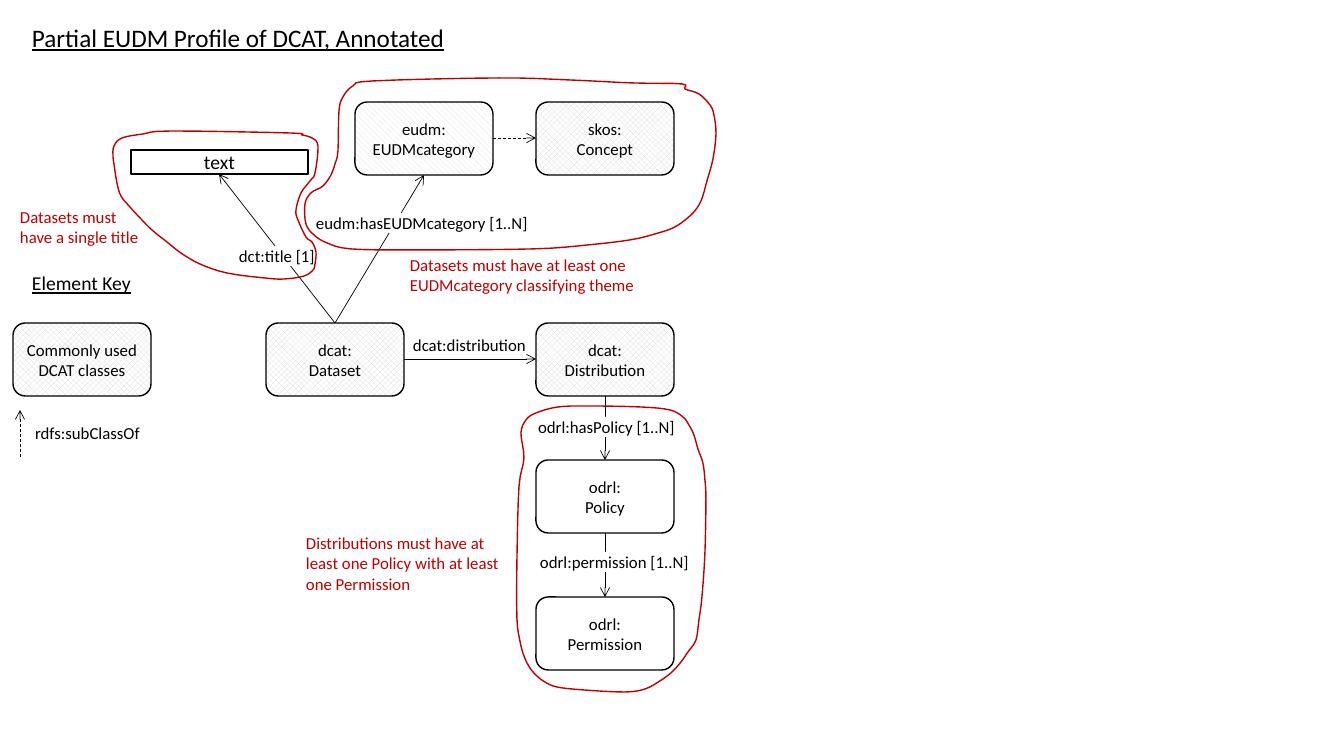
from dataclasses import dataclass

from lxml.etree import SubElement
from pptx import Presentation
from pptx.dml.color import RGBColor as Rgb
from pptx.enum.dml import MSO_LINE as Dash, MSO_PATTERN_TYPE as Pattern
from pptx.enum.shapes import MSO_CONNECTOR as Link, MSO_SHAPE as Preset
from pptx.enum.text import MSO_ANCHOR as Anchor, MSO_AUTO_SIZE as AutoSize, PP_ALIGN as Align
from pptx.oxml.ns import qn
from pptx.util import Emu, Pt

SCALE = 914400 / 100.8
COLORS = {"ink": "000000", "paper": "FFFFFF", "hatch": "D9D9D9", "note": "C00000"}
FONT = "Calibri"
NODE_W, NODE_H = 138, 73
CURVE_STEPS = 4

Point = tuple[float, float]


@dataclass
class Node:
    text: str
    x: int
    y: int
    pattern: Pattern | None = Pattern.OUTLINED_DIAMOND
    w: int = NODE_W
    h: int = NODE_H
    preset: Preset = Preset.ROUNDED_RECTANGLE
    size: int = 12

    @property
    def top(self) -> Point:
        return self.x + self.w // 2, self.y

    @property
    def bottom(self) -> Point:
        return self.x + self.w // 2, self.y + self.h

    @property
    def left(self) -> Point:
        return self.x, self.y + self.h // 2

    @property
    def right(self) -> Point:
        return self.x + self.w, self.y + self.h // 2


@dataclass
class Arrow:
    start: Point
    end: Point
    dashed: bool = False


@dataclass
class Label:
    text: str
    x: int
    y: int
    w: int
    h: int
    size: int = 12
    color: str = "ink"
    filled: bool = False
    inset: int = 0
    underline: bool = False


def px(length: float) -> Emu:
    return Emu(round(length * SCALE))


def rgb(name: str) -> Rgb:
    return Rgb.from_string(COLORS[name])


def write(frame, text: str, size: int, color: str, align: Align, underline: bool = False) -> None:
    frame.text = text
    for paragraph in frame.paragraphs:
        paragraph.alignment = align
        for run in paragraph.runs:
            run.font.name = FONT
            run.font.size = Pt(size)
            run.font.color.rgb = rgb(color)
            if underline:
                run.font.underline = True


def draw_node(shapes, node: Node) -> None:
    box = shapes.add_shape(node.preset, px(node.x), px(node.y), px(node.w), px(node.h))
    box.shadow.inherit = False
    if node.pattern is not None:
        box.fill.patterned()
        box.fill.pattern = node.pattern
        box.fill.fore_color.rgb = rgb("hatch")
        box.fill.back_color.rgb = rgb("paper")
    elif node.preset == Preset.RECTANGLE:
        box.fill.solid()
        box.fill.fore_color.rgb = rgb("paper")
    else:
        box.fill.background()
    box.line.color.rgb = rgb("ink")
    box.line.width = Pt(1)
    box.text_frame.word_wrap = True
    box.text_frame.vertical_anchor = Anchor.MIDDLE
    write(box.text_frame, node.text, node.size, "ink", Align.CENTER)


def draw_arrow(shapes, arrow: Arrow) -> None:
    ends = [px(value) for value in (*arrow.start, *arrow.end)]
    link = shapes.add_connector(Link.STRAIGHT, *ends)
    link.line.color.rgb = rgb("ink")
    link.line.width = Pt(0.5)
    if arrow.dashed:
        link.line.dash_style = Dash.DASH
    properties = link._element.spPr
    SubElement(properties.find(qn("a:ln")), qn("a:tailEnd"), type="arrow")
    SubElement(properties, qn("a:effectLst"))


def draw_label(shapes, label: Label) -> None:
    place = px(label.x), px(label.y), px(label.w), px(label.h)
    if label.filled:
        box = shapes.add_shape(Preset.RECTANGLE, *place)
        box.shadow.inherit = False
        box.fill.solid()
        box.fill.fore_color.rgb = rgb("paper")
        box.line.fill.background()
    else:
        box = shapes.add_textbox(*place)
    frame = box.text_frame
    frame.word_wrap = False
    frame.auto_size = AutoSize.SHAPE_TO_FIT_TEXT
    frame.vertical_anchor = Anchor.TOP
    frame.margin_left = frame.margin_right = px(label.inset)
    frame.margin_top = frame.margin_bottom = px(label.inset // 2)
    write(frame, label.text, label.size, label.color, Align.LEFT, label.underline)


def spline(p0: float, p1: float, p2: float, p3: float, t: float) -> float:
    bend = (p2 - p0) * t + (2 * p0 - 5 * p1 + 4 * p2 - p3) * t**2
    return p1 + (bend + (3 * p1 - p0 - 3 * p2 + p3) * t**3) / 2


def smooth(points: list[Point]) -> list[Point]:
    count = len(points)
    curve = []
    for index in range(count):
        xs, ys = zip(*(points[(index + offset) % count] for offset in (-1, 0, 1, 2)))
        for step in range(CURVE_STEPS):
            t = step / CURVE_STEPS
            curve.append((px(spline(*xs, t)), px(spline(*ys, t))))
    return curve


def draw_outline(shapes, points: list[Point]) -> None:
    first, *rest = smooth(points)
    builder = shapes.build_freeform(*first, scale=1.0)
    builder.add_line_segments(rest, close=True)
    ring = builder.convert_to_shape()
    ring.shadow.inherit = False
    ring.fill.background()
    ring.line.color.rgb = rgb("note")
    ring.line.width = Pt(1)


dataset = Node("dcat:\vDataset", 266, 323)
distribution = Node("dcat:\vDistribution", 536, 323)
policy = Node("odrl:\vPolicy", 536, 460, None)
permission = Node("odrl:\vPermission", 536, 597, None)
category = Node("eudm:\vEUDMcategory", 355, 102, Pattern.WIDE_DOWNWARD_DIAGONAL)
concept = Node("skos:\vConcept", 536, 102)
title_text = Node("text", 131, 150, None, 177, 24, Preset.RECTANGLE, 14)
key_class = Node("Commonly used DCAT classes", 13, 323)
nodes = [dataset, distribution, policy, permission, category, concept, title_text, key_class]

arrows = [
    Arrow(dataset.top, title_text.bottom), Arrow(dataset.top, category.bottom),
    Arrow(dataset.right, distribution.left), Arrow(distribution.bottom, policy.top),
    Arrow(policy.bottom, permission.top), Arrow(category.right, concept.left, True),
    Arrow((20, 457), (20, 410), True),
]

labels = [
    Label("Partial EUDM Profile of DCAT, Annotated", 22, 17, 437, 40, 18, inset=10, underline=True),
    Label("Element Key", 22, 266, 120, 34, 14, inset=10, underline=True),
    Label("rdfs:subClassOf", 25, 418, 126, 30, inset=10),
    Label("dcat:distribution", 403, 330, 134, 30, inset=10),
    Label("odrl:hasPolicy [1..N]", 538, 417, 138, 20, filled=True),
    Label("odrl:permission [1..N]", 540, 552, 150, 20, filled=True),
    Label("eudm:hasEUDMcategory [1..N]", 316, 213, 214, 20, filled=True),
    Label("dct:title [1]", 239, 246, 77, 20, filled=True),
    Label("Datasets must\vhave a single title", 20, 207, 120, 40, color="note"),
    Label("Distributions must have at\vleast one Policy with at least\vone Permission",
          306, 533, 200, 61, color="note"),
    Label("Datasets must have at least one\vEUDMcategory classifying theme",
          410, 255, 229, 40, color="note"),
]

category_ring = [
    (682, 84), (632, 83), (569, 80), (499, 78), (373, 81), (353, 86), (343, 97), (339, 111),
    (338, 151), (335, 164), (331, 175), (323, 186), (311, 193), (305, 204), (306, 224),
    (314, 235), (327, 243), (351, 249), (414, 250), (533, 249), (588, 245), (630, 240),
    (655, 234), (675, 227), (692, 214), (701, 201), (707, 181), (713, 159), (716, 134),
    (714, 115), (710, 105), (699, 94), (685, 89)]
policy_ring = [
    (521, 433), (526, 420), (536, 413), (558, 407), (588, 406), (641, 407), (670, 410),
    (683, 417), (689, 425), (694, 435), (698, 449), (703, 463), (705, 480), (706, 499),
    (705, 553), (702, 597), (699, 620), (696, 640), (688, 652), (681, 662), (672, 672),
    (660, 681), (645, 689), (625, 692), (584, 690), (557, 687), (545, 682), (537, 676),
    (530, 668), (524, 656), (520, 641), (517, 618), (517, 560), (519, 487), (524, 458)]
title_ring = [
    (122, 138), (143, 134), (171, 131), (290, 133), (302, 135), (312, 138), (318, 146),
    (315, 173), (310, 181), (301, 193), (296, 210), (298, 220), (306, 237), (312, 242),
    (316, 252), (315, 264), (313, 270), (304, 276), (284, 279), (265, 278), (227, 273),
    (200, 264), (181, 253), (167, 242), (152, 230), (141, 219), (130, 207), (121, 196),
    (117, 183), (114, 164), (113, 156), (114, 146)]

deck = Presentation()
deck.slide_width, deck.slide_height = px(1344), px(756)
canvas = deck.slides.add_slide(deck.slide_layouts[6]).shapes
for arrow in arrows:
    draw_arrow(canvas, arrow)
for node in nodes:
    draw_node(canvas, node)
for label in labels:
    draw_label(canvas, label)
for ring_points in (category_ring, policy_ring, title_ring):
    draw_outline(canvas, ring_points)
deck.save("out.pptx")
